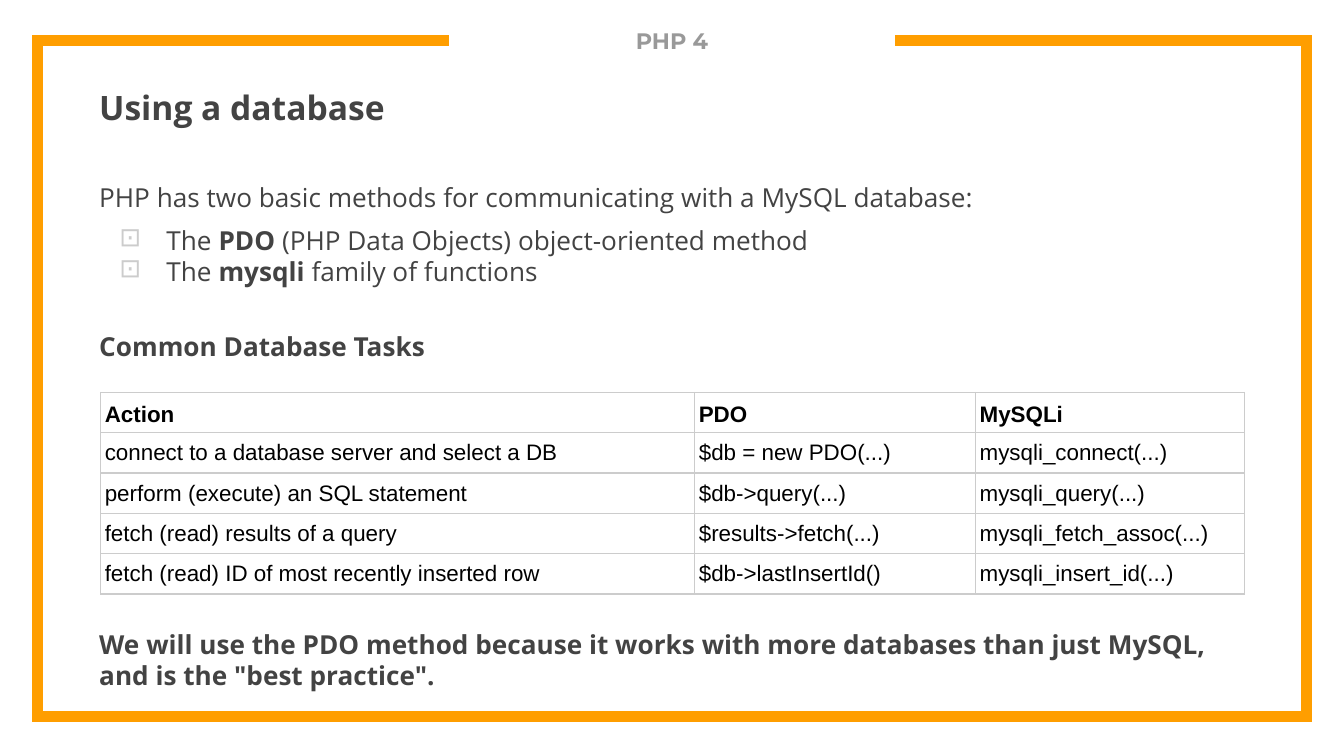
from lxml import etree
from pptx import Presentation
from pptx.dml.color import RGBColor
from pptx.enum.text import MSO_ANCHOR, MSO_AUTO_SIZE, PP_ALIGN
from pptx.oxml import parse_xml
from pptx.oxml.ns import nsdecls, qn
from pptx.util import Inches, Pt

ORANGE = RGBColor(0xFF, 0x9E, 0x00)
DARK = RGBColor(0x43, 0x43, 0x43)
GRAY = RGBColor(0x99, 0x99, 0x99)
LIGHT = RGBColor(0xCC, 0xCC, 0xCC)
BLACK = RGBColor(0, 0, 0)
WHITE = RGBColor(0xFF, 0xFF, 0xFF)

# Content: each paragraph is (runs, size, space before, bulleted);
# each run is (text, bold)
TITLE = "PHP 4"
BODY = [
    ([("Using a database", True)], 18, 0, False),
    ([("PHP has two basic methods for communicating with a MySQL database:", False)],
     14, 29, False),
    ([("The ", False), ("PDO", True),
      (" (PHP Data Objects) object-oriented method", False)], 14, 6, True),
    ([("The ", False), ("mysqli", True), (" family of functions", False)], 14, 0, True),
    ([("Common Database Tasks", True)], 14, 23, False),
    # The space before the closing words leaves room for the table
    ([("We will use the PDO method because it works with more databases than "
       "just MySQL, and is the \"best practice\".", True)], 14, 143, False),
]
TASKS = [
    ("Action", "PDO", "MySQLi"),
    ("connect to a database server and select a DB", "$db = new PDO(...)",
     "mysqli_connect(...)"),
    ("perform (execute) an SQL statement", "$db->query(...)", "mysqli_query(...)"),
    ("fetch (read) results of a query", "$results->fetch(...)",
     "mysqli_fetch_assoc(...)"),
    ("fetch (read) ID of most recently inserted row", "$db->lastInsertId()",
     "mysqli_insert_id(...)"),
]
COLUMN_WIDTHS = (4.42, 2.09, 2.0)
ROW_HEIGHT = 0.3
FRAME = [(3.34, 0.3), (0.28, 0.3), (0.28, 5.33), (9.72, 5.33), (9.72, 0.3), (6.66, 0.3)]
LINE_HEIGHT = 1.2

# Slide in 16:9
prs = Presentation()
prs.slide_width = Inches(10)
prs.slide_height = prs.slide_width * 9 // 16
slide = prs.slides.add_slide(prs.slide_layouts[5])


def set_bullet(paragraph):
    props = paragraph._p.get_or_add_pPr()
    props.set("marL", str(Inches(0.5)))
    props.set("indent", str(Inches(-0.35)))
    color = etree.SubElement(props, qn("a:buClr"))
    etree.SubElement(color, qn("a:srgbClr"), val=str(LIGHT))
    etree.SubElement(props, qn("a:buChar"), char="⊡")


def set_borders(cell):
    props = cell._tc.get_or_add_tcPr()
    for position, side in enumerate(("lnL", "lnR", "lnT", "lnB")):
        props.insert(position, parse_xml(
            f'<a:{side} {nsdecls("a")} w="{Pt(0.75)}"><a:solidFill>'
            f'<a:srgbClr val="{LIGHT}"/></a:solidFill></a:{side}>'))


# Open frame around the slide, with sharp corners
builder = slide.shapes.build_freeform(
    *(Inches(v) for v in FRAME[0]), scale=1.0)
builder.add_line_segments([(Inches(x), Inches(y)) for x, y in FRAME[1:]], close=False)
border = builder.convert_to_shape()
border.shadow.inherit = False
border.fill.background()
border.line.color.rgb, border.line.width = ORANGE, Pt(6)
etree.SubElement(border.line._get_or_add_ln(), qn("a:miter"), lim="800000")

# Body text above and below the table
body = slide.shapes.add_textbox(
    Inches(0.64), Inches(0.55), Inches(8.73), Inches(3.72)).text_frame
body.word_wrap = True
body.margin_top = body.margin_bottom = Inches(0.1)
for i, (runs, size, before, bulleted) in enumerate(BODY):
    paragraph = body.add_paragraph() if i else body.paragraphs[0]
    paragraph.space_before = Pt(before)
    paragraph.line_spacing = Pt(size * LINE_HEIGHT)
    font = paragraph.font
    font.name, font.size, font.color.rgb = "Open Sans", Pt(size), DARK
    if bulleted:
        set_bullet(paragraph)
    for text, bold in runs:
        run = paragraph.add_run()
        run.text, run.font.bold = text, bold

# Title in the gap of the frame
title = slide.shapes.title
title.left, title.top = Inches(3.34), Inches(0.1)
title.width, title.height = Inches(3.32), Inches(0.51)
title.fill.solid()
title.fill.fore_color.rgb = WHITE
title_frame = title.text_frame
title_frame.text = TITLE
title_frame.auto_size = MSO_AUTO_SIZE.NONE
title_frame.vertical_anchor = MSO_ANCHOR.TOP
title_frame.margin_top = title_frame.margin_bottom = Inches(0.1)
heading = title_frame.paragraphs[0]
heading.alignment = PP_ALIGN.CENTER
heading.font.name, heading.font.size = "Montserrat", Pt(12)
heading.font.bold, heading.font.color.rgb = True, GRAY

# Table of database tasks
table = slide.shapes.add_table(
    len(TASKS), len(COLUMN_WIDTHS), Inches(0.75), Inches(2.92),
    Inches(sum(COLUMN_WIDTHS)), Inches(ROW_HEIGHT * len(TASKS))).table
table.horz_banding = False
for column, width in zip(table.columns, COLUMN_WIDTHS):
    column.width = Inches(width)
for r, task in enumerate(TASKS):
    table.rows[r].height = Inches(ROW_HEIGHT)
    is_header = r == 0
    for c, text in enumerate(task):
        cell = table.cell(r, c)
        cell.text = text
        cell.fill.background()
        cell.vertical_anchor = MSO_ANCHOR.MIDDLE
        cell.margin_left = cell.margin_right = Inches(0.03)
        cell.margin_top = cell.margin_bottom = Inches(0.02 if is_header else 0)
        paragraph = cell.text_frame.paragraphs[0]
        if is_header:
            paragraph.line_spacing = 1.15
        font = paragraph.font
        font.name, font.size = "Arial", Pt(12)
        font.bold, font.color.rgb = is_header, BLACK
        set_borders(cell)

prs.save("out.pptx")
